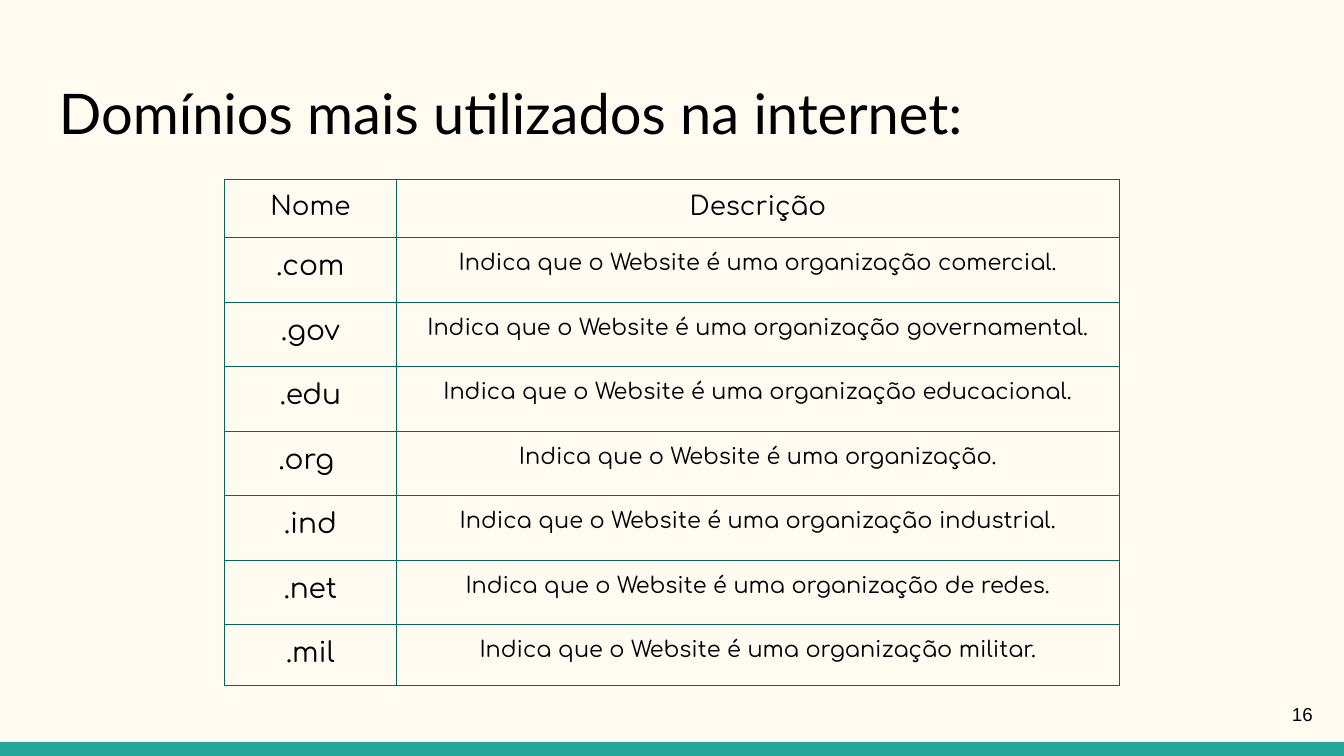
"""Build a slide with a table of the most used internet domains."""
import dataclasses

import lxml.etree
import pptx
import pptx.dml.color
import pptx.enum.shapes
import pptx.enum.text
import pptx.oxml.ns
import pptx.presentation
import pptx.slide
import pptx.table
import pptx.text.text
import pptx.util

EMU_PER_PX = 4572
ALIGN = pptx.enum.text.PP_ALIGN
ANCHOR = pptx.enum.text.MSO_ANCHOR


@dataclasses.dataclass(frozen=True)
class Theme:
    background: str = "FFFBF0"
    footer: str = "26A69A"
    border: str = "00695C"
    ink: str = "000000"
    title_font: str = "Lato"
    table_font: str = "Comfortaa"
    number_font: str = "Arial"
    title_size: int = 30
    header_size: int = 14
    name_size: int = 15
    description_size: int = 12
    number_size: int = 10
    border_width: float = 0.75


@dataclasses.dataclass(frozen=True)
class Area:
    left: int
    top: int
    width: int
    height: int

    def emu(self) -> tuple[int, ...]:
        return tuple(px(length) for length in dataclasses.astuple(self))


@dataclasses.dataclass(frozen=True)
class Domain:
    name: str
    kind: str

    def description(self) -> str:
        return f"Indica que o Website é uma organização{self.kind}."


THEME = Theme()
DOMAINS = (
    Domain(".com", " comercial"),
    Domain(".gov", " governamental"),
    Domain(".edu", " educacional"),
    Domain(".org ", ""),
    Domain(".ind", " industrial"),
    Domain(".net", " de redes"),
    Domain(".mil", " militar"),
)
PAGE_WIDTH, PAGE_HEIGHT = 2000, 1125
FOOTER_HEIGHT = 21
COLUMN_WIDTHS = (256, 1076)
HEADER_HEIGHT, DOMAIN_HEIGHT, LAST_HEIGHT = 50, 96, 22
ROW_HEIGHTS = (HEADER_HEIGHT, *[DOMAIN_HEIGHT] * (len(DOMAINS) - 1), LAST_HEIGHT)
INSET = 20


def px(length: int) -> pptx.util.Emu:
    return pptx.util.Emu(length * EMU_PER_PX)


def color(value: str) -> pptx.dml.color.RGBColor:
    return pptx.dml.color.RGBColor.from_string(value)


def write_text(frame: pptx.text.text.TextFrame, text: str, *, font: str, size: int,
               align: ALIGN = ALIGN.LEFT) -> None:
    para = frame.paragraphs[0]
    para.alignment = align
    span = para.add_run()
    span.text = text
    span.font.name = font
    span.font.size = pptx.util.Pt(size)
    span.font.color.rgb = color(THEME.ink)


def add_text(page: pptx.slide.Slide, area: Area, text: str, *,
             anchor: ANCHOR = ANCHOR.TOP, **text_format) -> None:
    box = page.shapes.add_textbox(*area.emu())
    frame = box.text_frame
    frame.word_wrap = True
    frame.vertical_anchor = anchor
    frame.margin_left = frame.margin_right = px(INSET)
    frame.margin_top = frame.margin_bottom = px(INSET)
    write_text(frame, text, **text_format)


def add_footer(page: pptx.slide.Slide, area: Area) -> None:
    bar = page.shapes.add_shape(pptx.enum.shapes.MSO_SHAPE.RECTANGLE, *area.emu())
    bar.shadow.inherit = False
    bar.fill.solid()
    bar.fill.fore_color.rgb = color(THEME.footer)
    bar.line.fill.background()


def add_borders(cell: pptx.table._Cell) -> None:
    name = pptx.oxml.ns.qn
    properties = cell._tc.get_or_add_tcPr()
    for side in ("a:lnL", "a:lnR", "a:lnT", "a:lnB"):
        line = lxml.etree.SubElement(properties, name(side))
        line.set("w", str(pptx.util.Pt(THEME.border_width)))
        fill = lxml.etree.SubElement(line, name("a:solidFill"))
        lxml.etree.SubElement(fill, name("a:srgbClr")).set("val", THEME.border)


def fill_cell(cell: pptx.table._Cell, text: str, size: int) -> None:
    cell.margin_left = cell.margin_right = px(INSET)
    cell.margin_top = cell.margin_bottom = px(INSET)
    add_borders(cell)
    cell.fill.background()
    write_text(cell.text_frame, text, font=THEME.table_font, size=size, align=ALIGN.CENTER)


def add_domain_table(page: pptx.slide.Slide, left: int, top: int) -> None:
    area = Area(left, top, sum(COLUMN_WIDTHS), sum(ROW_HEIGHTS))
    table = page.shapes.add_table(len(ROW_HEIGHTS), len(COLUMN_WIDTHS), *area.emu()).table
    table.first_row = table.horz_banding = False
    for column, width in zip(table.columns, COLUMN_WIDTHS):
        column.width = px(width)
    for row, height in zip(table.rows, ROW_HEIGHTS):
        row.height = px(height)
    for index, heading in enumerate(("Nome", "Descrição")):
        fill_cell(table.cell(0, index), heading, THEME.header_size)
    for index, domain in enumerate(DOMAINS, start=1):
        fill_cell(table.cell(index, 0), domain.name, THEME.name_size)
        fill_cell(table.cell(index, 1), domain.description(), THEME.description_size)


def build_deck() -> pptx.presentation.Presentation:
    deck = pptx.Presentation()
    deck.slide_width, deck.slide_height = px(PAGE_WIDTH), px(PAGE_HEIGHT)
    page = deck.slides.add_slide(deck.slide_layouts[6])
    page.background.fill.solid()
    page.background.fill.fore_color.rgb = color(THEME.background)
    add_footer(page, Area(0, PAGE_HEIGHT - FOOTER_HEIGHT, PAGE_WIDTH, FOOTER_HEIGHT))
    add_text(page, Area(68, 97, 1864, 134), "Domínios mais utilizados na internet:",
             font=THEME.title_font, size=THEME.title_size)
    add_text(page, Area(1853, 1020, 120, 86), "16", anchor=ANCHOR.MIDDLE,
             font=THEME.number_font, size=THEME.number_size, align=ALIGN.RIGHT)
    add_domain_table(page, left=334, top=267)
    return deck


if __name__ == "__main__":
    build_deck().save("out.pptx")
